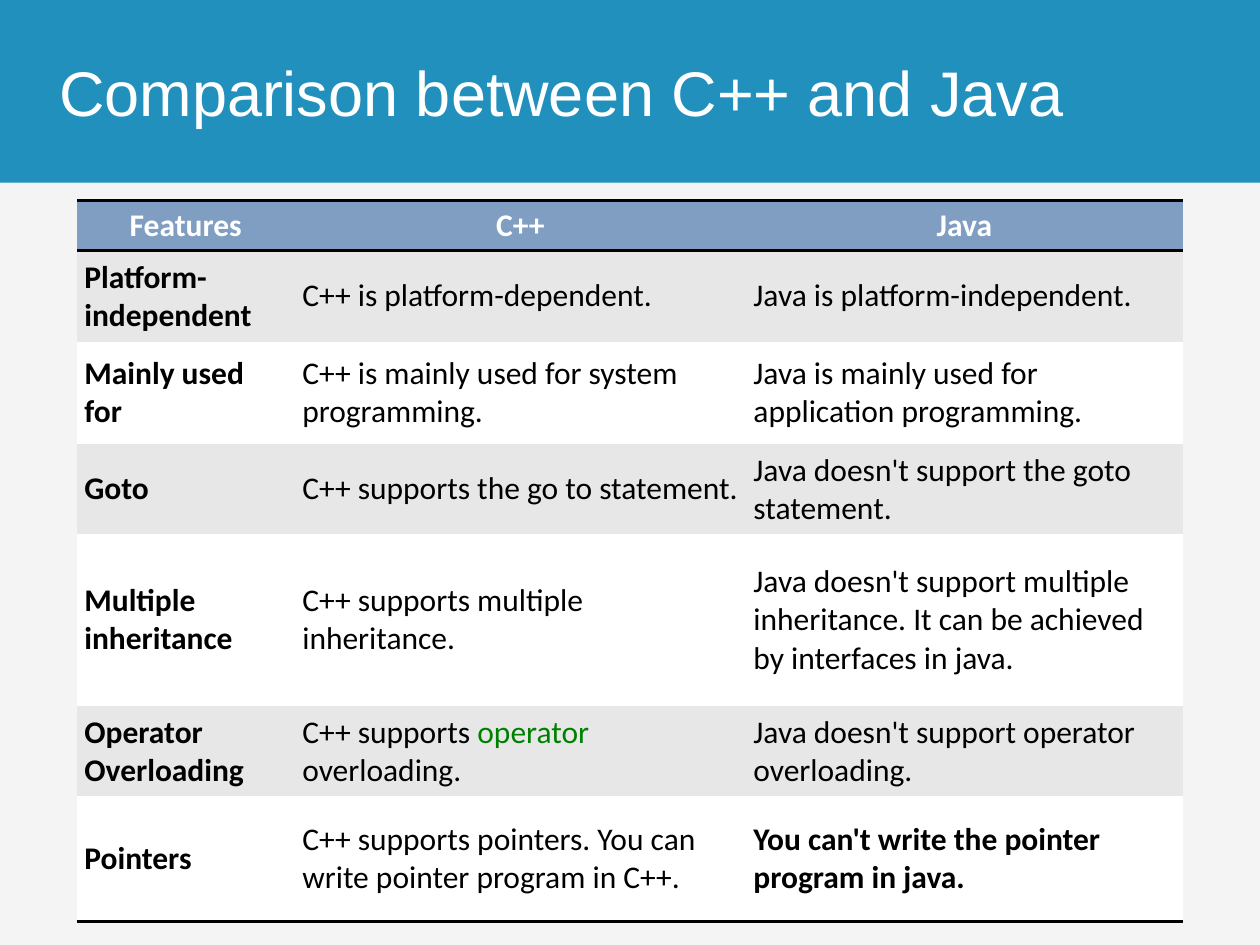
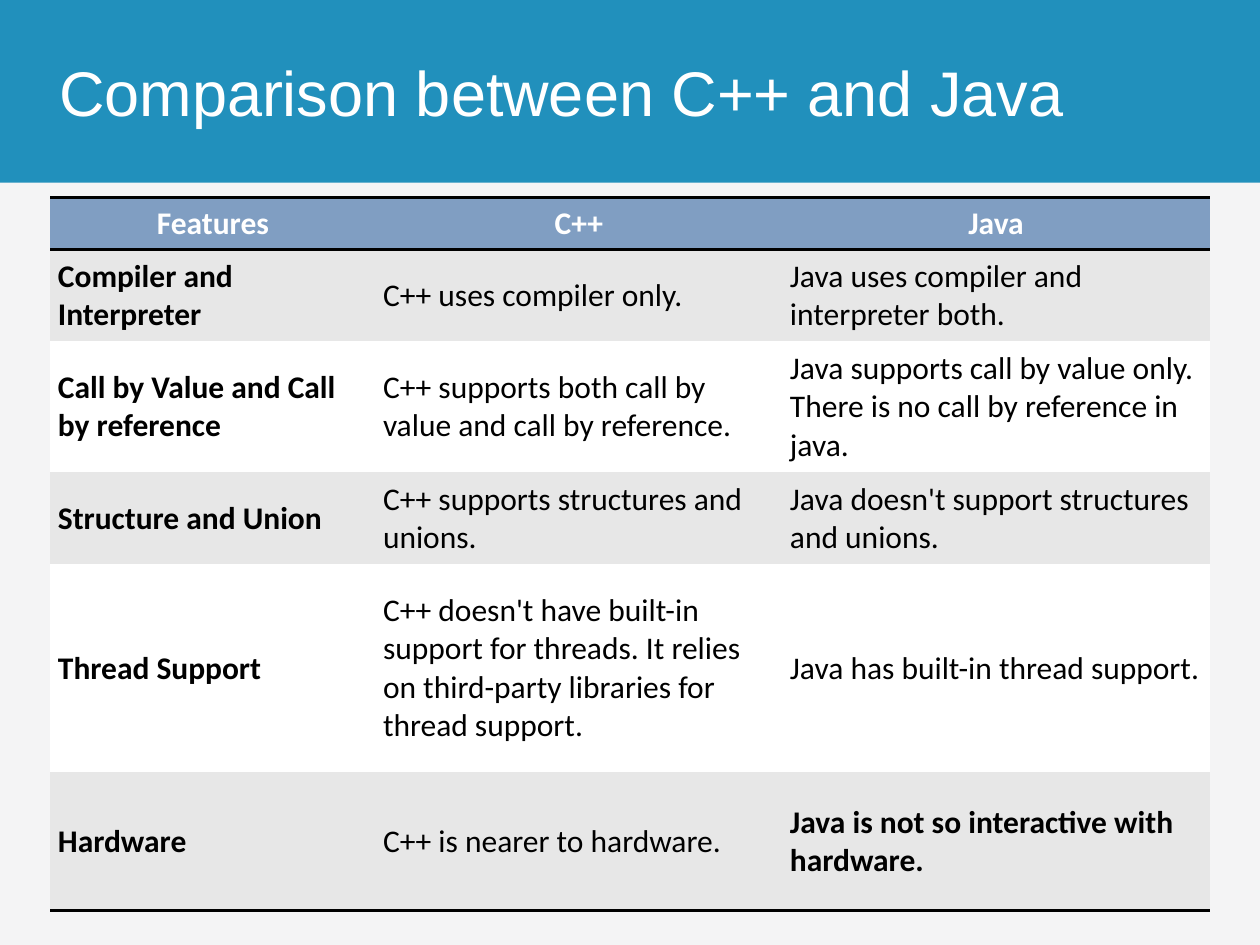
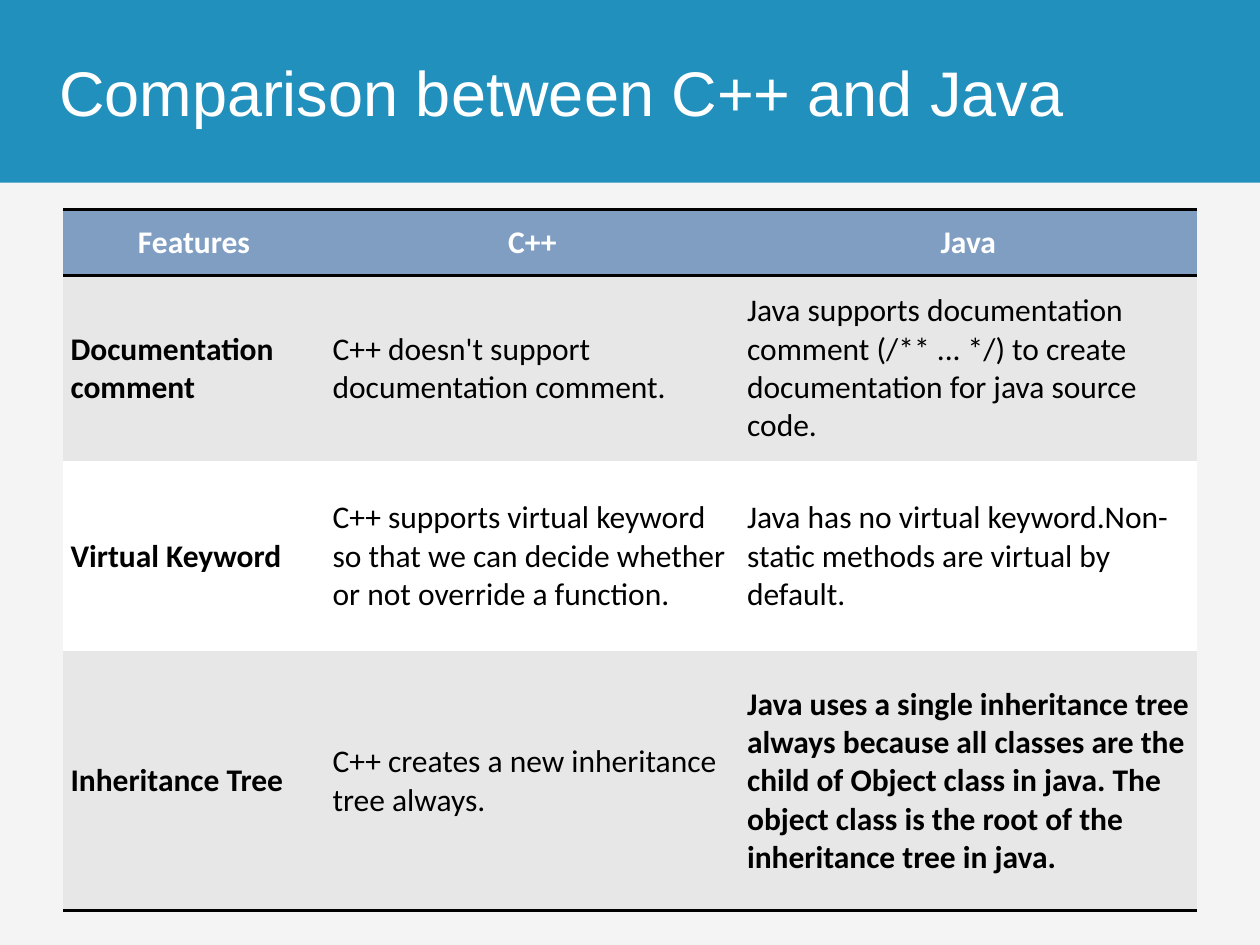
from dataclasses import dataclass

from lxml.etree import SubElement
from pptx import Presentation
from pptx.dml.color import RGBColor
from pptx.enum.shapes import MSO_SHAPE
from pptx.enum.text import MSO_ANCHOR, PP_ALIGN
from pptx.oxml.ns import qn
from pptx.slide import Slide
from pptx.table import _Cell
from pptx.text.text import TextFrame
from pptx.util import Inches, Pt

BLUE = RGBColor(0x21, 0x90, 0xBC)
STEEL = RGBColor(0x80, 0x9E, 0xC2)
PALE = RGBColor(0xF4, 0xF4, 0xF5)
GREY = RGBColor(0xE7, 0xE7, 0xE7)
WHITE = RGBColor(0xFF, 0xFF, 0xFF)
BLACK = RGBColor(0, 0, 0)
GREEN = RGBColor(0, 0x80, 0)

TITLE = "Comparison between C++ and Java"
HEADS = ("Features", "C++", "Java")
BAND = Inches(1.45)
INSET = Inches(0.06)
PLAIN = "{2D5ABB26-0587-4C30-8999-92F81FD0307C}"


@dataclass(frozen=True)
class Grid:
    left: float
    top: float
    cols: tuple[float, ...]
    highs: tuple[float, ...]
    rows: tuple[tuple[str, str, str], ...]
    align: PP_ALIGN = PP_ALIGN.LEFT


GRIDS = (
    Grid(0.61, 1.59, (1.73, 3.58, 3.47), (0.38, 0.71, 0.81, 0.71, 1.36, 0.7, 0.99), (
        ("Platform-independent", "C++ is platform-dependent.", "Java is platform-independent."),
        ("Mainly used for", "C++ is mainly used for system programming.",
         "Java is mainly used for application programming."),
        ("Goto", "C++ supports the go to statement.", "Java doesn't support the goto statement."),
        ("Multiple inheritance", "C++ supports multiple inheritance.",
         "Java doesn't support multiple inheritance. It can be achieved by interfaces in java."),
        ("Operator Overloading", "C++ supports |operator |overloading.",
         "Java doesn't support operator overloading."),
        ("Pointers", "C++ supports pointers. You can write pointer program in C++.",
         "You can't write the pointer program in java."),
    )),
    Grid(0.4, 1.57, (2.58, 3.23, 3.39), (0.41, 0.73, 1.04, 0.73, 1.65, 1.1), (
        ("Compiler and Interpreter", "C++ uses compiler only.",
         "Java uses compiler and interpreter both."),
        ("Call by Value and Call by reference",
         "C++ supports both call by value and call by reference.",
         "Java supports call by value only. There is no call by reference in java."),
        ("Structure and Union", "C++ supports structures and unions.",
         "Java doesn't support structures and unions."),
        ("Thread Support",
         "C++ doesn't have built-in support for threads. "
         "It relies on third-party libraries for thread support.",
         "Java has built-in thread support."),
        ("Hardware", "C++ is nearer to hardware.", "Java is not so interactive with hardware."),
    )),
    Grid(0.5, 1.66, (2.08, 3.29, 3.63), (0.53, 1.47, 1.51, 2.06), (
        ("Documentation comment", "C++ doesn't support documentation comment.",
         "Java supports documentation comment (/** ... */) to create documentation "
         "for java source code."),
        ("Virtual Keyword",
         "C++ supports virtual keyword so that we can decide whether or not override a function.",
         "Java has no virtual keyword.Non-static methods are virtual by default."),
        ("Inheritance Tree", "C++ creates a new inheritance tree always.",
         "Java uses a single inheritance tree always because all classes are the child of "
         "Object class in java. The object class is the root of the inheritance tree in java."),
    ), PP_ALIGN.JUSTIFY),
)


def put(frame: TextFrame, text: str, *, size: int = 18, face: str = "Calibri",
        color: RGBColor = BLACK, bold: bool = False,
        align: PP_ALIGN = PP_ALIGN.LEFT) -> None:
    para = frame.paragraphs[0]
    para.alignment = align
    for n, part in enumerate(text.split("|")):
        run = para.add_run()
        run.text = part
        run.font.size = Pt(size)
        run.font.name = face
        run.font.bold = bold
        run.font.color.rgb = GREEN if n % 2 else color


def rule(cell: _Cell, side: str) -> None:
    line = SubElement(cell._tc.get_or_add_tcPr(), qn(f"a:{side}"), w=str(Pt(2)))
    fill = SubElement(line, qn("a:solidFill"))
    SubElement(fill, qn("a:srgbClr"), val=str(BLACK))


def paint(cell: _Cell, color: RGBColor) -> None:
    cell.fill.solid()
    cell.fill.fore_color.rgb = color
    cell.vertical_anchor = MSO_ANCHOR.MIDDLE


def draw_head(slide: Slide, width: int) -> None:
    band = slide.shapes.add_shape(MSO_SHAPE.RECTANGLE, 0, 0, width, BAND)
    band.shadow.inherit = False
    band.fill.solid()
    band.fill.fore_color.rgb = BLUE
    band.line.fill.background()
    frame = slide.shapes.add_textbox(Inches(0.37), 0, Inches(8.62), BAND).text_frame
    frame.word_wrap = True
    frame.vertical_anchor = MSO_ANCHOR.MIDDLE
    put(frame, TITLE, size=36, face="Arial", color=WHITE)


def draw_grid(slide: Slide, grid: Grid) -> None:
    shape = slide.shapes.add_table(
        len(grid.highs), len(grid.cols), Inches(grid.left), Inches(grid.top),
        Inches(sum(grid.cols)), Inches(sum(grid.highs)))
    shape.element.find(f".//{qn('a:tableStyleId')}").text = PLAIN
    table = shape.table
    table.horz_banding = False
    for col, wide in zip(table.columns, grid.cols):
        col.width = Inches(wide)
    for row, high in zip(table.rows, grid.highs):
        row.height = Inches(high)
    for c, text in enumerate(HEADS):
        cell = table.cell(0, c)
        rule(cell, "lnT")
        rule(cell, "lnB")
        paint(cell, STEEL)
        put(cell.text_frame, text, color=WHITE, bold=True, align=PP_ALIGN.CENTER)
    last = len(grid.rows)
    for r, texts in enumerate(grid.rows, 1):
        for c, text in enumerate(texts):
            cell = table.cell(r, c)
            cell.margin_left = cell.margin_right = INSET
            cell.margin_top = cell.margin_bottom = INSET
            if r == last:
                rule(cell, "lnB")
            paint(cell, GREY if r % 2 else WHITE)
            put(cell.text_frame, text, bold=c == 0 or (r == last and c == 2),
                align=grid.align if c == 0 else PP_ALIGN.LEFT)


def main() -> None:
    deck = Presentation()
    deck.slide_width = Inches(10)
    deck.slide_height = Inches(7.5)
    back = deck.slide_master.background.fill
    back.solid()
    back.fore_color.rgb = PALE
    for grid in GRIDS:
        slide = deck.slides.add_slide(deck.slide_layouts[6])
        draw_head(slide, deck.slide_width)
        draw_grid(slide, grid)
    deck.save("out.pptx")


if __name__ == "__main__":
    main()
